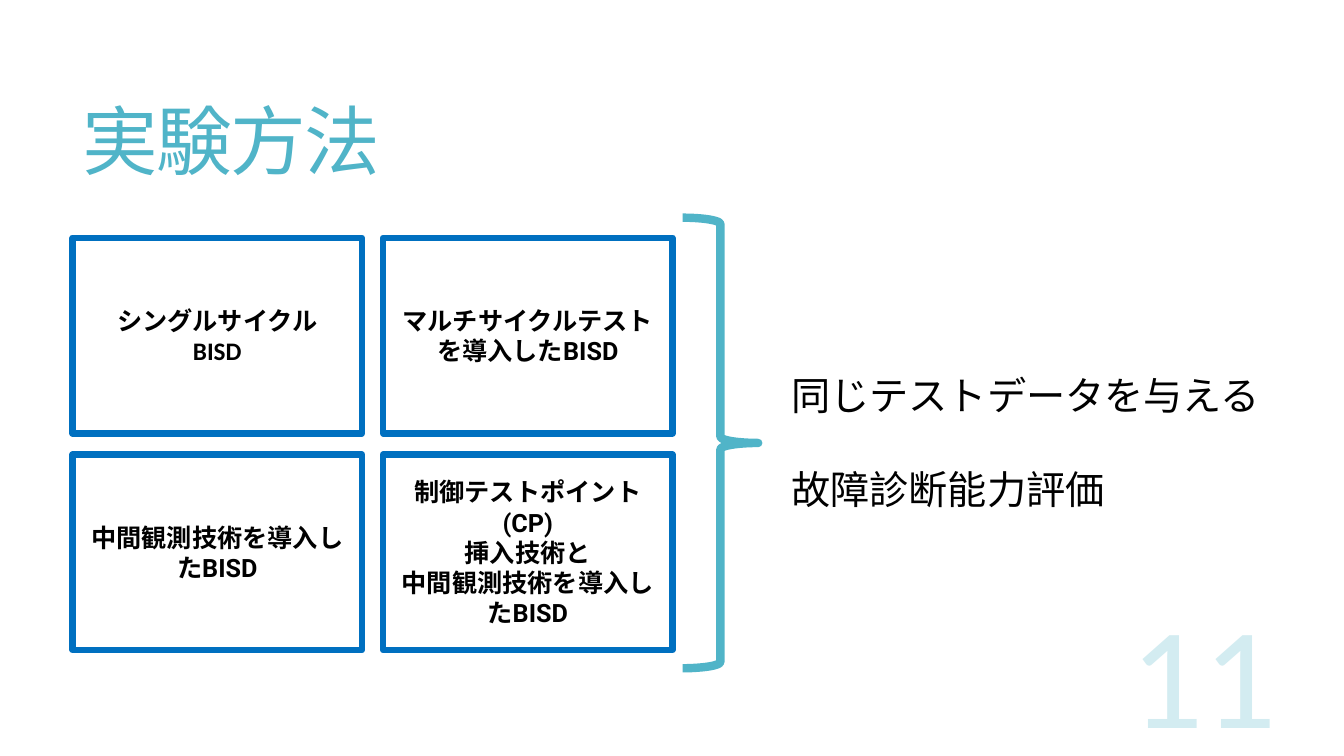
from pptx import Presentation
from pptx.dml.color import RGBColor
from pptx.enum.shapes import MSO_SHAPE as Shape
from pptx.enum.text import MSO_ANCHOR as Anchor, PP_ALIGN as Align
from pptx.oxml.ns import qn
from pptx.util import Pt
from lxml.etree import SubElement

PX = 9144
TEAL, PALE_TEAL, BLUE = "50B4C8", "D3ECF1", "0070C0"
BLACK, WHITE = "000000", "FFFFFF"
CALIBRI, NOTO, ROBOTO = "Calibri", "Noto Sans CJK JP", "Roboto"

LEFT, TOP = 72, 236
CARD_WIDTH, CARD_HEIGHT = 287, 194
STEP_X, STEP_Y = 308, 215
METHODS = [
    [[("シングルサイクル", CALIBRI)], [("BISD", CALIBRI)]],
    [[("マルチサイクルテストを導入した", NOTO), ("BISD", ROBOTO)]],
    [[("中間観測技術を導入した", NOTO), ("BISD", ROBOTO)]],
    [
        [("制御テストポイント", NOTO), ("(CP)", ROBOTO)],
        [("挿入技術と", NOTO)],
        [("中間観測技術を導入した", NOTO), ("BISD", ROBOTO)],
    ],
]
NOTES = [
    [("同じテストデータを与える", CALIBRI)],
    [("故障診断能力評価", CALIBRI)],
]


def color(value):
    return RGBColor.from_string(value)


def area(*lengths):
    return [length * PX for length in lengths]


def write(box, lines, size, ink, align=Align.LEFT, bold=False, spacing=None, gap=0, tracking=0):
    frame = box.text_frame
    frame.word_wrap = True
    for index, line in enumerate(lines):
        para = frame.add_paragraph() if index else frame.paragraphs[0]
        para.alignment = align
        para.line_spacing = spacing
        if index:
            para.space_before = Pt(gap)
        for text, face in line:
            span = para.add_run()
            span.text = text
            span.font.name = face
            span.font.size = Pt(size)
            span.font.bold = bold
            span.font.color.rgb = color(ink)
            properties = span.font._element
            SubElement(properties, qn("a:ea")).set("typeface", face)
            if tracking:
                properties.set("spc", str(tracking))


def add_text(page, bounds, lines, size, ink, anchor=Anchor.TOP, **style):
    box = page.shapes.add_textbox(*area(*bounds))
    box.text_frame.vertical_anchor = anchor
    write(box, lines, size, ink, **style)
    return box


def add_outline(page, kind, bounds, ink, weight):
    shape = page.shapes.add_shape(kind, *area(*bounds))
    shape.shadow.inherit = False
    shape.fill.background()
    shape.line.color.rgb = color(ink)
    shape.line.width = Pt(weight)
    return shape


def add_card(page, index, lines):
    row, column = divmod(index, 2)
    bounds = LEFT + column * STEP_X, TOP + row * STEP_Y, CARD_WIDTH, CARD_HEIGHT
    card = add_outline(page, Shape.RECTANGLE, bounds, BLUE, 4.5)
    card.fill.solid()
    card.fill.fore_color.rgb = color(WHITE)
    card.text_frame.vertical_anchor = Anchor.MIDDLE
    write(card, lines, 18, BLACK, align=Align.CENTER, bold=True, spacing=Pt(21.6))


def add_page_number(page, number):
    box = add_text(page, (1066, 580, 200, 170), [[(number, CALIBRI)]], 103, PALE_TEAL, align=Align.RIGHT)
    frame = box.text_frame
    frame.margin_left = frame.margin_right = frame.margin_top = frame.margin_bottom = 0


def main():
    deck = Presentation()
    deck.slide_width, deck.slide_height = area(1333, 750)
    page = deck.slides.add_slide(deck.slide_layouts[6])
    add_text(page, (72, 55, 1178, 181), [[("実験方法", CALIBRI)]], 54, TEAL,
             anchor=Anchor.MIDDLE, spacing=0.85, tracking=-120)
    for index, lines in enumerate(METHODS):
        add_card(page, index, lines)
    add_outline(page, Shape.RIGHT_BRACE, (677, 216, 75, 447), TEAL, 6)
    add_text(page, (775, 363, 496, 151), NOTES, 28, BLACK, spacing=Pt(33.6), gap=33.6)
    add_page_number(page, "11")
    deck.save("out.pptx")


if __name__ == "__main__":
    main()
